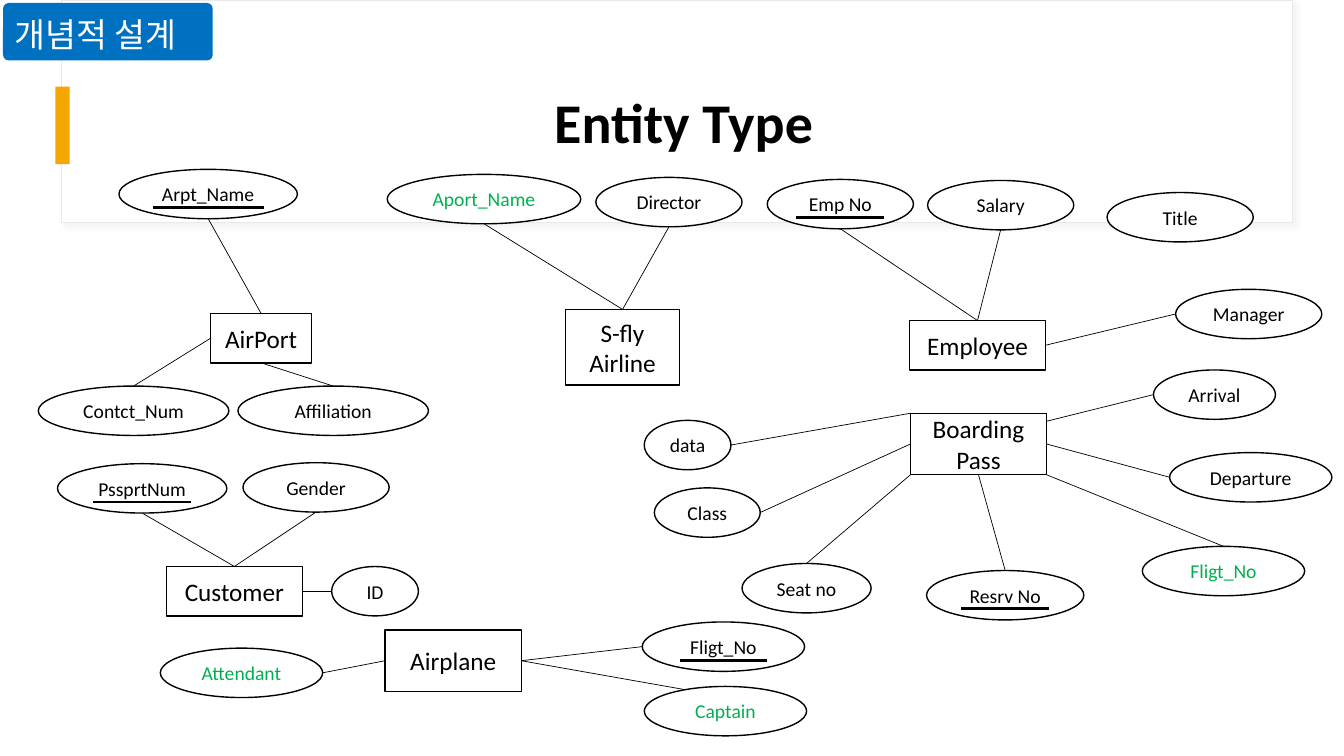
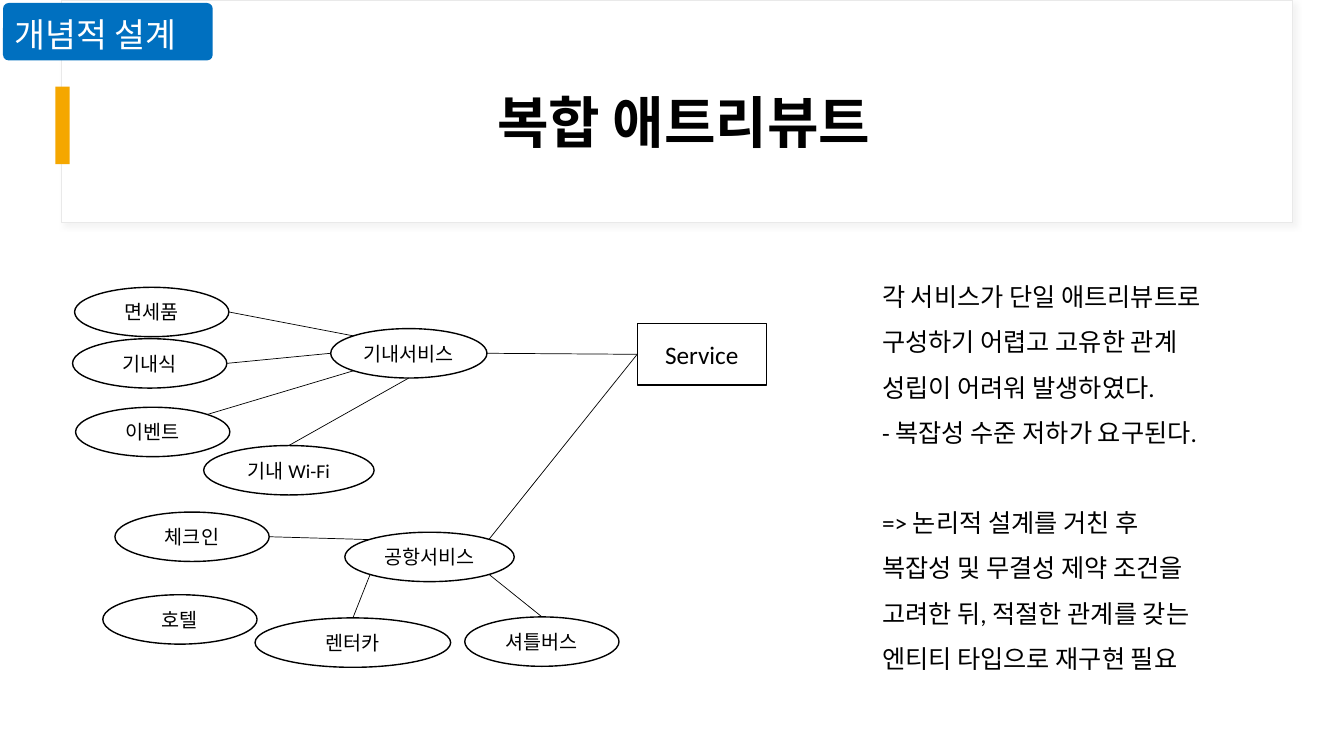
from typing import NamedTuple

from lxml import etree
from pptx import Presentation
from pptx.dml.color import RGBColor
from pptx.enum import shapes, text
from pptx.oxml.ns import qn
from pptx.util import Inches, Pt

HUE = {"ink": "000000", "paper": "FFFFFF", "edge": "E9E9E9", "shade": "D9D9D9",
       "gold": "F5A700", "blue": "0070C0", "green": "00B050"}
KIND = shapes.MSO_SHAPE
MID, TOP = text.MSO_ANCHOR.MIDDLE, text.MSO_ANCHOR.TOP
LEFT, CENTER = text.PP_ALIGN.LEFT, text.PP_ALIGN.CENTER
OVAL_H = 0.49
RULE_Y = 0.38

# Points on a box as fractions of its width and height; nw to se lie on an oval.
SITE = {"top": (0.5, 0), "left": (0, 0.5), "bottom": (0.5, 1), "right": (1, 0.5),
        "top left": (0, 0), "bottom left": (0, 1), "bottom right": (1, 1),
        "upper right": (1, 0.13), "nw": (0.15, 0.15), "ne": (0.85, 0.15),
        "sw": (0.15, 0.85), "se": (0.85, 0.85)}


class Attr(NamedTuple):
    """An oval, offset from its owner, and the sites its link joins."""
    name: str
    dx: float
    dy: float
    wide: float
    start: str = ""
    end: str = ""
    rule: float = 0
    hue: str = "ink"


def rgb(hue):
    return RGBColor.from_string(HUE[hue])


def write(shape, lines, size, hue="ink", bold=False, align=CENTER, anchor=MID,
          inset=0.05, **para):
    frame = shape.text_frame
    look = {"word_wrap": True, "vertical_anchor": anchor,
            "margin_left": Inches(inset), "margin_right": Inches(inset)}
    for key, value in look.items():
        setattr(frame, key, value)
    font = {"name": "Calibri", "size": Pt(size), "bold": bold}
    for num, line in enumerate(lines):
        par = frame.add_paragraph() if num else frame.paragraphs[0]
        par.text = line
        for key, value in {"alignment": align, **para}.items():
            setattr(par, key, value)
        for key, value in font.items():
            setattr(par.font, key, value)
        par.font.color.rgb = rgb(hue)
    return frame


def add_box(slide, kind, box, fill="paper", line=None, width=1):
    shape = slide.shapes.add_shape(kind, *map(Inches, box))
    shape.shadow.inherit = False
    shape.fill.solid()
    shape.fill.fore_color.rgb = rgb(fill)
    if line:
        shape.line.color.rgb = rgb(line)
        shape.line.width = Pt(width)
    else:
        shape.line.fill.background()
    return shape


def add_line(slide, start, end, width=0.5):
    line = slide.shapes.add_connector(shapes.MSO_CONNECTOR.STRAIGHT,
                                      *map(Inches, (*start, *end)))
    line.line.color.rgb = rgb("ink")
    line.line.width = Pt(width)
    etree.SubElement(line._element.spPr, qn("a:effectLst"))


def spot(box, site):
    x, y, w, h = box
    fx, fy = SITE[site]
    return x + fx * w, y + fy * h


def add_shade(shape):
    glow = shape._element.spPr.find(qn("a:effectLst"))
    cast = etree.SubElement(glow, qn("a:outerShdw"), blurRad=str(Pt(4)),
                            dist=str(Pt(3)), dir="2700000")
    tint = etree.SubElement(cast, qn("a:srgbClr"), val=HUE["shade"])
    etree.SubElement(tint, qn("a:alpha"), val="30000")


def add_frame(deck, title):
    """Start a slide with the header card, title and section tag."""
    slide = deck.slides.add_slide(deck.slide_layouts[6])
    add_shade(add_box(slide, KIND.RECTANGLE, (0.61, 0, 12.21, 2.21),
                      line="edge", width=0.75))
    add_box(slide, KIND.RECTANGLE, (0.55, 0.86, 0.14, 0.77), "gold")
    head = slide.shapes.add_textbox(*map(Inches, (1.22, 0.6, 11.12, 1.29)))
    write(head, [title], 40, bold=True, line_spacing=0.9)
    tag = add_box(slide, KIND.ROUNDED_RECTANGLE, (0.03, 0.03, 2.08, 0.57), "blue")
    tag.adjustments[0] = 0.1
    write(tag, ["개념적 설계"], 24, "paper", align=LEFT, inset=0.1, line_spacing=1.1)
    return slide


def add_fan(slide, owner, attrs):
    """Link ovals to the owner box; return the box of each oval by name."""
    boxes = {}
    for attr in attrs:
        box = (owner[0] + attr.dx, owner[1] + attr.dy, attr.wide, OVAL_H)
        boxes[attr.name] = box
        if attr.start:
            add_line(slide, spot(owner, attr.start), spot(box, attr.end))
        oval = add_box(slide, KIND.OVAL, box, line="ink")
        write(oval, [attr.name], 14, attr.hue)
        if attr.rule:
            mid, y = box[0] + attr.wide / 2, box[1] + RULE_Y
            add_line(slide, (mid - attr.rule / 2, y), (mid + attr.rule / 2, y), 2)
    return boxes


def add_entity(slide, name, box, attrs):
    write(add_box(slide, KIND.RECTANGLE, box, line="ink"), [name], 18)
    return add_fan(slide, box, attrs)


ENTITIES = [
    ("AirPort", (2.09, 3.11, 1, 0.49), [
        Attr("Arpt_Name", -0.91, -1.43, 1.77, "top", "bottom", rule=1.1),
        Attr("Contct_Num", -1.71, 0.72, 1.89, "left", "top"),
        Attr("Affiliation", 0.27, 0.72, 1.89, "bottom", "top")]),
    ("S-fly Airline", (5.61, 3.07, 1.13, 0.75), [
        Attr("Aport_Name", -1.77, -1.34, 1.92, "top", "bottom", hue="green"),
        Attr("Director", 0.3, -1.31, 1.45, "top", "bottom")]),
    ("Employee", (9.02, 3.18, 1.35, 0.49), [
        Attr("Emp No", -1.41, -1.4, 1.45, "top", "bottom", rule=0.87),
        Attr("Salary", 0.18, -1.39, 1.45, "top", "bottom"),
        Attr("Title", 1.96, -1.27, 1.45),
        Attr("Manager", 2.64, -0.31, 1.45, "right", "left")]),
    ("Boarding Pass", (9.03, 4.1, 1.35, 0.61), [
        Attr("Arrival", 2.41, -0.43, 1.21, "upper right", "left"),
        Attr("Departure", 2.57, 0.39, 1.61, "right", "left"),
        Attr("Fligt_No", 2.3, 1.32, 1.61, "bottom right", "top", hue="green"),
        Attr("Resrv No", 0.16, 1.56, 1.56, "bottom", "top", rule=0.87),
        Attr("Seat no", -1.67, 1.49, 1.28, "bottom left", "top"),
        Attr("Class", -2.54, 0.74, 1.05, "left", "right"),
        Attr("data", -2.64, 0.07, 0.86, "top left", "right")]),
    ("Customer", (1.65, 5.62, 1.35, 0.49), [
        Attr("PssprtNum", -1.08, -1.02, 1.68, "top", "bottom", rule=0.97),
        Attr("Gender", 0.76, -1.03, 1.45, "top", "bottom"),
        Attr("ID", 1.64, 0, 0.86, "right", "left")]),
    ("Airplane", (3.82, 6.25, 1.35, 0.61), [
        Attr("Fligt_No", 2.55, -0.08, 1.61, "right", "left", rule=0.87),
        Attr("Captain", 2.57, 0.56, 1.61, "right", "right", hue="green"),
        Attr("Attendant", -2.23, 0.18, 1.61, "left", "right", hue="green")]),
]

SERVICES = [
    Attr("기내서비스", -3.04, 0.05, 1.55, "left", "right"),
    Attr("공항서비스", -2.9, 2.07, 1.68, "left", "ne"),
]
PARTS = {
    "기내서비스": [
        Attr("면세품", -2.54, -0.41, 1.53, "nw", "right"),
        Attr("기내식", -2.56, 0.1, 1.53, "left", "right"),
        Attr("이벤트", -2.53, 0.78, 1.53, "sw", "ne"),
        Attr("기내 Wi-Fi", -1.26, 1.16, 1.69, "bottom", "top")],
    "공항서비스": [
        Attr("체크인", -2.28, -0.2, 1.53, "nw", "right"),
        Attr("호텔", -2.4, 0.62, 1.53),
        Attr("렌터카", -0.89, 0.85, 1.94, "sw", "top"),
        Attr("셔틀버스", 1.19, 0.84, 1.53, "se", "top")],
}
REASON = ["각 서비스가 단일 애트리뷰트로\v구성하기 어렵고 고유한 관계\v성립이 어려워 발생하였다.",
          "- 복잡성 수준 저하가 요구된다."]
RESULT = ["=> 논리적 설계를 거친 후", "복잡성 및 무결성 제약 조건을",
          "고려한 뒤, 적절한 관계를 갖는", "엔티티 타입으로 재구현 필요"]


def add_notes(slide, box):
    area = slide.shapes.add_textbox(*map(Inches, box))
    frame = write(area, REASON + RESULT, 18, align=LEFT, anchor=TOP,
                  inset=0.1, line_spacing=1.5)
    frame.paragraphs[len(REASON)].space_before = Pt(32)


def main():
    deck = Presentation()
    deck.slide_width, deck.slide_height = Inches(13.33), Inches(7.5)

    slide = add_frame(deck, "Entity Type")
    for name, box, attrs in ENTITIES:
        add_entity(slide, name, box, attrs)

    slide = add_frame(deck, "복합 애트리뷰트")
    ovals = add_entity(slide, "Service", (6.32, 3.21, 1.28, 0.61), SERVICES)
    for name, parts in PARTS.items():
        add_fan(slide, ovals[name], parts)
    add_notes(slide, (8.65, 2.59, 3.93, 4.14))

    deck.save("out.pptx")


if __name__ == "__main__":
    main()
